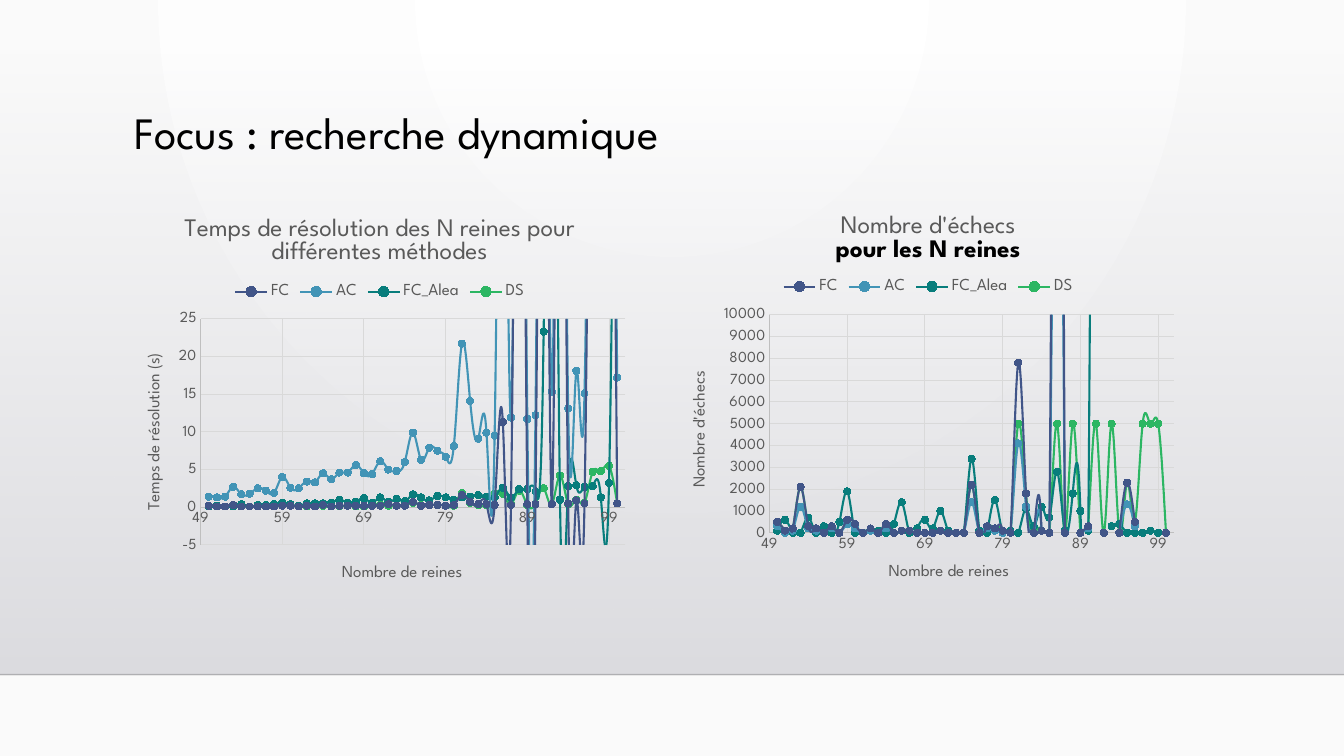
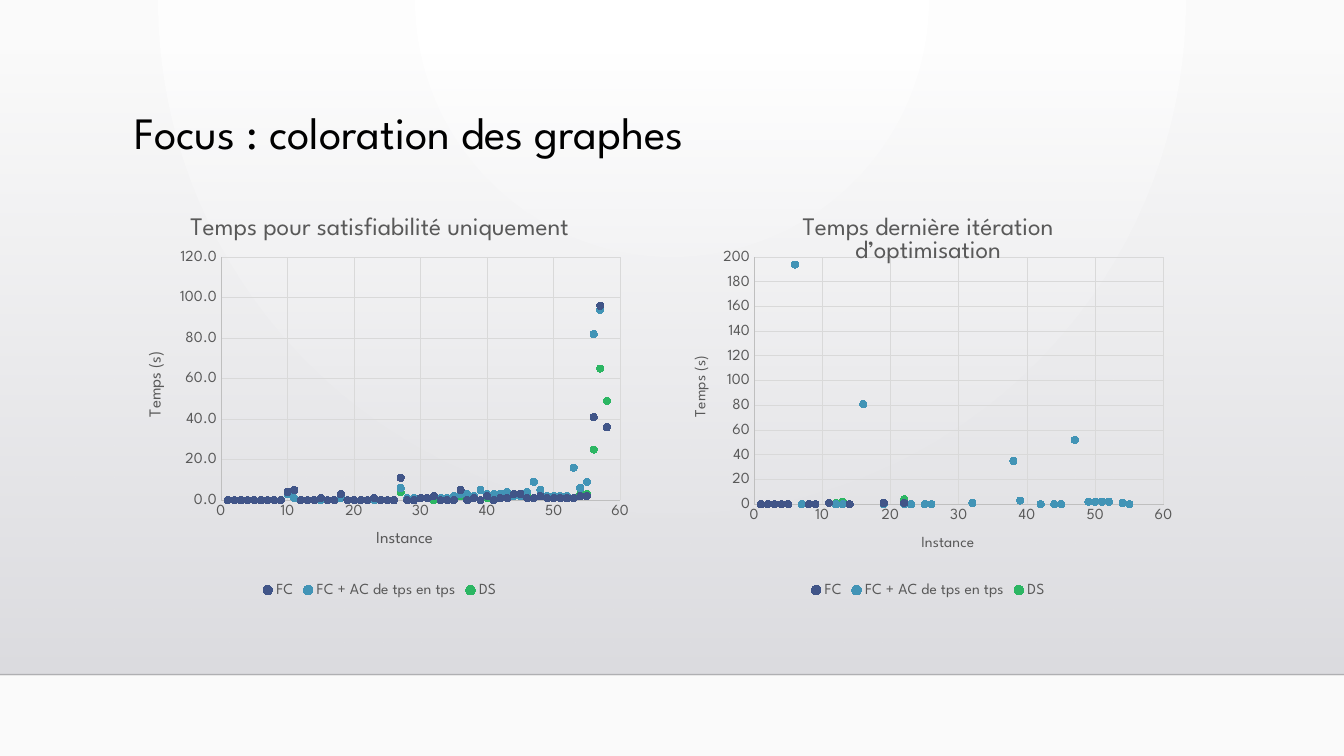
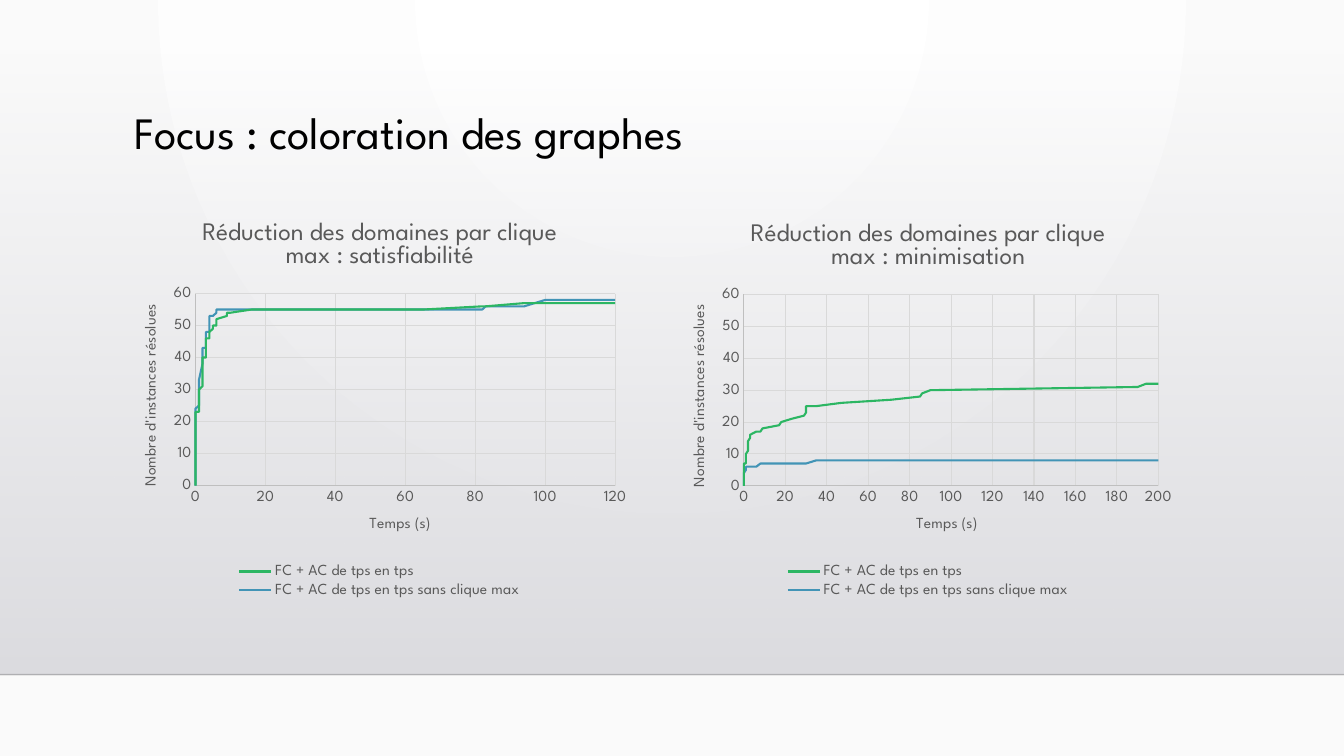
"""Builds three slides comparing constraint solving methods."""
from collections import namedtuple

from lxml import etree
from pptx import Presentation
from pptx import util as u
from pptx.chart.data import XyChartData
from pptx.dml.color import RGBColor
from pptx.enum import chart as ch
from pptx.enum import shapes, text
from pptx.oxml import parse_xml
from pptx.oxml.ns import nsdecls, qn

FONT = "League Spartan"
BLACK = RGBColor(0x00, 0x00, 0x00)
RULE = RGBColor(0x00, 0x00, 0x01)
WHITE = RGBColor(0xFF, 0xFF, 0xFF)
PAPER = RGBColor(0xFA, 0xFA, 0xFA)
MIST = RGBColor(0xDC, 0xDC, 0xE0)
FOG = RGBColor(0xDE, 0xDE, 0xE2)
GREY = RGBColor(0x59, 0x59, 0x59)
AXIS_GREY = RGBColor(0xBF, 0xBF, 0xBF)
GRID_GREY = RGBColor(0xD9, 0xD9, 0xD9)
NAVY = RGBColor(0x41, 0x55, 0x88)
BLUE = RGBColor(0x42, 0x94, 0xB6)
TEAL = RGBColor(0x08, 0x7D, 0x7C)
GREEN = RGBColor(0x2C, 0xB6, 0x63)

SMOOTH = ch.XL_CHART_TYPE.XY_SCATTER_SMOOTH
DOTS = ch.XL_CHART_TYPE.XY_SCATTER
LINES = ch.XL_CHART_TYPE.XY_SCATTER_LINES_NO_MARKERS
TOP = ch.XL_LEGEND_POSITION.TOP
BOTTOM = ch.XL_LEGEND_POSITION.BOTTOM

Axis = namedtuple("Axis", "title low high step format size", defaults=("General", 11))
Curve = namedtuple("Curve", "name colour values")

WIDTH, HEIGHT = 33.87, 19.05
BAND_TOP, BAND_BOTTOM = 1.3, 17
LEFT, RIGHT = 3.12, 16.94
CHART_WIDTH, CHART_BOTTOM = 12.9, 15.16


class Deck:
    """Holds the shared style and the current slide."""

    def __init__(self):
        self.deck = Presentation()
        self.deck.slide_width, self.deck.slide_height = u.Cm(WIDTH), u.Cm(HEIGHT)
        self.halo()

    def gradient(self, fill, colours):
        fill.gradient()
        for stop, colour in zip(fill.gradient_stops, colours):
            stop.color.rgb = colour

    def alpha(self, parent, percent):
        colour = next(parent.iter(qn("a:srgbClr")))
        etree.SubElement(colour, qn("a:alpha")).set("val", str(percent * 1000))

    def halo(self):
        background = self.deck.slide_master.background
        self.gradient(background.fill, (WHITE, PAPER))
        gradient = next(self.deck.slide_master.element.iter(qn("a:gradFill")))
        gradient.remove(gradient.find(qn("a:lin")))
        gradient.append(parse_xml(
            f'<a:path {nsdecls("a")} path="circle">'
            '<a:fillToRect l="43000" t="0" r="43000" b="100000"/></a:path>'))

    def slide(self, title):
        self.page = self.deck.slides.add_slide(self.deck.slide_layouts[6])
        self.band()
        self.rule()
        self.title(title)

    def band(self):
        band = self.page.shapes.add_shape(
            shapes.MSO_SHAPE.RECTANGLE, 0, u.Cm(BAND_TOP),
            u.Cm(WIDTH), u.Cm(BAND_BOTTOM - BAND_TOP))
        band.shadow.inherit = False
        band.line.fill.background()
        self.gradient(band.fill, (MIST, FOG))
        band.fill.gradient_angle = 270
        self.alpha(band.element.spPr, 0)

    def rule(self):
        rule = self.page.shapes.add_connector(
            shapes.MSO_CONNECTOR.STRAIGHT, 0, u.Cm(BAND_BOTTOM),
            u.Cm(WIDTH), u.Cm(BAND_BOTTOM))
        rule.line.color.rgb = RULE
        rule.line.width = u.Pt(1)
        properties = rule._element.spPr
        self.alpha(properties, 20)
        etree.SubElement(properties, qn("a:effectLst"))

    def title(self, wording):
        frame = self.page.shapes.add_textbox(
            u.Cm(3.15), u.Cm(2.67), u.Cm(26.67), u.Cm(2.95)).text_frame
        frame.word_wrap = True
        frame.vertical_anchor = text.MSO_ANCHOR.TOP
        heading = frame.paragraphs[0]
        heading.text = wording
        heading.line_spacing = 0.9
        self.font(heading.font, 32, BLACK)

    def font(self, font, size, colour=GREY, bold=False):
        font.name, font.size, font.bold = FONT, u.Pt(size), bold
        font.color.rgb = colour

    def chart(self, left, top, kind, headings, x_axis, y_axis, x_values, curves,
              plot, legend=BOTTOM, legend_size=11):
        data = XyChartData()
        for curve in curves:
            points = data.add_series(curve.name)
            for x, y in zip(x_values, curve.values):
                points.add_data_point(x, y)
        chart = self.page.shapes.add_chart(
            kind, u.Cm(left), u.Cm(top), u.Cm(CHART_WIDTH),
            u.Cm(CHART_BOTTOM - top), data).chart
        self.font(chart.font, 10, BLACK)
        self.headings(chart, headings)
        chart.has_legend = True
        chart.legend.position = legend
        chart.legend.include_in_layout = False
        self.font(chart.legend.font, legend_size)
        self.axis(chart.category_axis, x_axis)
        self.axis(chart.value_axis, y_axis)
        chart.plots[0].vary_by_categories = False
        for series, curve in zip(chart.plots[0].series, curves):
            self.curve(series, kind, curve.colour)
        self.place_plot(chart, plot)

    def headings(self, chart, headings):
        chart.has_title = True
        frame = chart.chart_title.text_frame
        chart.chart_title.include_in_layout = False
        for index, (wording, colour, bold) in enumerate(headings):
            line = frame.add_paragraph() if index else frame.paragraphs[0]
            line.text = wording
            self.font(line.font, 18, colour, bold)

    def axis(self, axis, style):
        axis.minimum_scale, axis.maximum_scale = style.low, style.high
        axis.major_unit = style.step
        axis.major_tick_mark = axis.minor_tick_mark = ch.XL_TICK_MARK.NONE
        axis.has_major_gridlines = True
        for line, colour in ((axis.format.line, AXIS_GREY),
                             (axis.major_gridlines.format.line, GRID_GREY)):
            line.color.rgb, line.width = colour, u.Pt(0.75)
        self.font(axis.tick_labels.font, 11)
        axis.tick_labels.number_format = style.format
        axis.tick_labels.number_format_is_linked = False
        label = axis.axis_title.text_frame.paragraphs[0]
        label.text = style.title
        self.font(label.font, style.size)

    def curve(self, series, kind, colour):
        line = series.format.line
        if kind == DOTS:
            line.fill.background()
        else:
            line.color.rgb, line.width = colour, u.Pt(1.5)
        if kind != LINES:
            marker = series.marker
            marker.style, marker.size = ch.XL_MARKER_STYLE.CIRCLE, 5
            marker.format.fill.solid()
            marker.format.fill.fore_color.rgb = colour
            marker.format.line.color.rgb = colour
        for smooth in series._element.iter(qn("c:smooth")):
            smooth.set("val", str(int(kind == SMOOTH)))

    def place_plot(self, chart, plot):
        area = next(chart._chartSpace.iter(qn("c:plotArea")))
        for layout in area.findall(qn("c:layout")):
            area.remove(layout)
        sides = "".join(f'<c:{side} val="{share}"/>' for side, share in zip("xywh", plot))
        area.insert(0, parse_xml(
            f'<c:layout {nsdecls("c")}><c:manualLayout><c:layoutTarget val="inner"/>'
            '<c:xMode val="edge"/><c:yMode val="edge"/>'
            f'{sides}</c:manualLayout></c:layout>'))


def plain(wording):
    return [(wording, GREY, False)]


def queens(deck):
    sizes = range(50, 101)
    x_axis = Axis("Nombre de reines", 49, 101, 10, size=12)
    deck.slide("Focus : recherche dynamique")
    deck.chart(
        LEFT, 4.98, SMOOTH,
        plain("Temps de résolution des N reines pour différentes méthodes"),
        x_axis, Axis("Temps de résolution (s)", -5, 25, 5, size=12), sizes, [
            Curve("FC", NAVY, [
                0.2, 0.1, 0.1, 0.3, 0.1, 0.1, 0.1, 0.1, 0.1, 0.2, 0.2, 0.1, 0.2, 0.1,
                0.3, 0.1, 0.2, 0.2, 0.2, 0.2, 0.2, 0.2, 0.4, 0.2, 0.2, 0.7, 0.2, 0.3,
                0.3, 0.2, 0.3, 1.6, 0.7, 0.4, 0.4, 0.3, 11.3, 0.3, 100, 0.4, 0.4, 100,
                0.4, 100, 0.5, 0.9, 0.5, 100, 100, 100, 0.5]),
            Curve("AC", BLUE, [
                1.4, 1.3, 1.4, 2.7, 1.7, 1.8, 2.5, 2.2, 1.9, 4, 2.6, 2.5, 3.4, 3.3,
                4.5, 3.7, 4.6, 4.6, 5.6, 4.5, 4.4, 6.1, 5, 4.8, 6, 9.9, 6.3, 7.9, 7.5,
                6.7, 8.1, 21.7, 14.1, 9.1, 9.9, 9.5, 83.7, 11.9, 100, 11.7, 12.2, 100,
                15.3, 100, 13.1, 18.1, 15.1, 100, 100, 100, 17.2]),
            Curve("FC_Alea", TEAL, [
                0.1, 0.2, 0.1, 0.1, 0.4, 0.1, 0.3, 0.3, 0.4, 0.6, 0.4, 0.2, 0.5, 0.5,
                0.5, 0.6, 1, 0.6, 0.7, 1.2, 0.6, 1.3, 0.7, 1.1, 0.8, 1.7, 1.3, 0.9,
                1.5, 1.3, 1, 1.3, 1.4, 1.6, 1.4, 1.3, 2.6, 1.3, 2.4, 2.4, 2.1, 23.3,
                100, 1, 2.8, 2.9, 2.7, 2.8, 1.3, 3.2, 100]),
            Curve("DS", GREEN, [
                0.1, 0.1, 0.1, 0.3, 0.1, 0.1, 0.1, 0.2, 0.1, 0.2, 0.2, 0.1, 0.1, 0.1,
                0.2, 0.1, 0.1, 0.2, 0.1, 0.1, 0.2, 0.3, 0.2, 0.2, 0.2, 0.6, 0.3, 0.3,
                0.3, 0.2, 0.2, 1.9, 0.6, 0.3, 0.3, 1.8, 1.8, 0.4, 2.2, 0.3, 0.5, 2.5,
                0.4, 4.2, 0.4, 1, 0.6, 4.7, 4.8, 5.5, 0.5])],
        (0.15, 0.3, 0.83, 0.56), TOP, 12)
    deck.chart(
        RIGHT, 4.98, SMOOTH,
        plain("Nombre d'échecs") + [("pour les N reines", BLACK, True)],
        x_axis, Axis("Nombre d'échecs", 0, 10000, 1000, size=12), sizes, [
            Curve("FC", NAVY, [
                500, 100, 200, 2100, 300, 200, 0, 300, 0, 600, 400, 0, 200, 0, 400, 0,
                100, 100, 0, 0, 0, 100, 0, 0, 0, 2200, 0, 300, 200, 100, 0, 7800, 1800,
                0, 100, 0, 48200, 0, None, 0, 300, None, 0, None, 0, 2300, 500, None,
                None, None, 0]),
            Curve("AC", BLUE, [
                300, 0, 100, 1200, 200, 100, 0, 200, 0, 400, 200, 0, 100, 0, 200, 0,
                100, 100, 0, 0, 0, 100, 0, 0, 0, 1400, 0, 200, 100, 0, 0, 4100, 1200,
                0, 100, 0, 29400, 0, None, 0, 200, None, 0, None, 0, 1300, 300, None,
                None, None, 0]),
            Curve("FC_Alea", TEAL, [
                100, 600, 0, 0, 700, 0, 300, 0, 500, 1900, 0, 0, 100, 100, 0, 400,
                1400, 0, 200, 600, 200, 1000, 100, 0, 0, 3400, 100, 0, 1500, 0, 100, 0,
                1100, 300, 1200, 700, 2800, 100, 1800, 1000, 100, 74000, None, 300,
                400, 0, 0, 0, 100, 0, None]),
            Curve("DS", GREEN, [
                500, 100, 200, 2100, 300, 200, 0, 300, 0, 600, 400, 0, 200, 0, 400, 0,
                100, 100, 0, 0, 0, 100, 0, 0, 0, 2200, 0, 300, 200, 100, 0, 5000, 1800,
                0, 100, 0, 5000, 0, 5000, 0, 300, 5000, 0, 5000, 0, 2300, 500, 5000,
                5000, 5000, 0])],
        (0.19, 0.29, 0.79, 0.54), TOP, 12)


def colouring(deck):
    instances = range(1, 59)
    deck.slide("Focus : coloration des graphes")
    deck.chart(
        LEFT, 4.95, DOTS, plain("Temps pour satisfiabilité uniquement"),
        Axis("Instance", 0, 60, 10, size=12),
        Axis("Temps (s)", 0, 120, 20, "0.0", 12), instances, [
            Curve("FC", NAVY, [
                0, 0, 0, 0, 0, 0, 0, 0, 0, 4, 5, 0, 0, 0, 1, 0, 0, 3, 0, 0, 0, 0, 1, 0,
                0, 0, 11, 0, 0, 1, 1, 2, 0, 0, 0, 5, 0, 1, 0, 2, 0, 1, 1, 3, 3, 1, 1,
                2, 1, 1, 1, 1, 1, 2, 2, 41, 96, 36]),
            Curve("FC + AC de tps en tps", BLUE, [
                0, 0, 0, 0, 0, 0, 0, 0, 0, 3, 1, 0, 0, 0, 0, 0, 0, 1, 0, 0, 0, 0, 0, 0,
                0, 0, 6, 1, 1, 1, 1, 2, 1, 1, 2, 3, 3, 2, 5, 3, 3, 3, 4, 2, 2, 4, 9, 5,
                2, 2, 2, 2, 16, 6, 9, 82, 94, None]),
            Curve("DS", GREEN, [
                0, 0, 0, 0, 0, 0, 0, 0, 0, 3, 1, 0, 0, 0, 0, 0, 0, 1, 0, 0, 0, 0, 0, 0,
                0, 0, 4, 0, 0, 1, 1, 0, 0, 1, 0, 2, 0, 1, 0, 1, 0, 1, 1, 3, 3, 2, 1, 2,
                1, 1, 1, 1, 1, 3, 3, 25, 65, 49])],
        (0.19, 0.15, 0.78, 0.6))
    deck.chart(
        RIGHT, 4.95, DOTS, plain("Temps dernière itération d’optimisation"),
        Axis("Instance", 0, 60, 10), Axis("Temps (s)", 0, 200, 20), instances, [
            Curve("FC", NAVY, [
                0, 0, 0, 0, 0, None, None, 0, 0, None, 1, None, None, 0, None, None,
                None, None, 1, None, None, 1] + [None] * 36),
            Curve("FC + AC de tps en tps", BLUE, [
                0, 0, 0, 0, 0, 194, 0, 0, 0, None, 1, 0, 0, 0, None, 81, None, None, 0,
                None, None, 0, 0, None, 0, 0, None, None, None, None, None, 1, None,
                None, None, None, None, 35, 3, None, None, 0, None, 0, 0, None, 52,
                None, 2, 2, 2, 2, None, 1, 0, None, None, None]),
            Curve("DS", GREEN, [
                0, 0, 0, 0, 0, None, None, 0, 0, None, 1, 1, 2, 0, None, None, None,
                None, 1, None, None, 4] + [None] * 36)],
        (0.16, 0.15, 0.8, 0.61))


def cliques(deck):
    names = "FC + AC de tps en tps", "FC + AC de tps en tps sans clique max"
    solved = Axis("Nombre d'instances résolues", 0, 60, 10)
    deck.slide("Focus : coloration des graphes")
    deck.chart(
        RIGHT, 5.11, LINES,
        plain("Réduction des domaines par clique max : minimisation"),
        Axis("Temps (s)", 0, 200, 20), solved,
        [0, 0, 0, 1, 1, 1, 1, 2, 2, 2, 3, 3, 6, 8, 9, 17, 18, 23, 29, 30, 30, 30, 35,
         47, 71, 85, 86, 90, 190, 194, 200], [
            Curve(names[0], GREEN, [
                0, 5, 7, 7, 7, 9, 10, 11, 12, 14, 15, 16, 17, 17, 18, 19, 20, 21, 22,
                23, 24, 25, 25, 26, 27, 28, 29, 30, 31, 32, 32]),
            Curve(names[1], BLUE, [0, 4, 4, 5] + [6] * 9 + [7] * 9 + [8] * 9)],
        (0.14, 0.23, 0.81, 0.48))
    deck.chart(
        LEFT, 5.08, LINES,
        plain("Réduction des domaines par clique max : satisfiabilité"),
        Axis("Temps (s)", 0, 120, 20), solved,
        [0] * 6 + [1] * 8 + [2] * 11 + [3] * 7 + [4] * 7 + [
            5, 5, 6, 6, 6, 9, 9, 10, 10, 16, 25, 41, 42, 49, 65, 82, 83, 94, 97, 100,
            120], [
            Curve(names[0], GREEN, [
                0, 13, 15, 18, 22, 23, 23, 24, 25, 27, 27, 27, 28, 30, 31, 31, 32, 32,
                32, 33, 34, 36, 38, 39, 40, 40, 40, 41, 42, 42, 45, 46, 46, 46, 46, 46,
                47, 48, 48, 49, 50, 50, 51, 52, 53, 54, 54, 54, 55, 55, 55, 55, 55, 55,
                56, 56, 57, 57, 57, 57]),
            Curve(names[1], BLUE, [
                0, 15, 18, 23, 24, 24, 25, 25, 25, 26, 28, 29, 32, 33, 38, 39, 39, 40,
                41, 42, 43, 43, 43, 43, 43, 43, 45, 46, 47, 48, 48, 48, 48, 49, 51, 53,
                53, 53, 53, 53, 53, 54] + [55] * 13 + [56, 56, 57, 58, 58])],
        (0.14, 0.23, 0.82, 0.48))


def main():
    deck = Deck()
    queens(deck)
    colouring(deck)
    cliques(deck)
    deck.deck.save("out.pptx")


if __name__ == "__main__":
    main()
